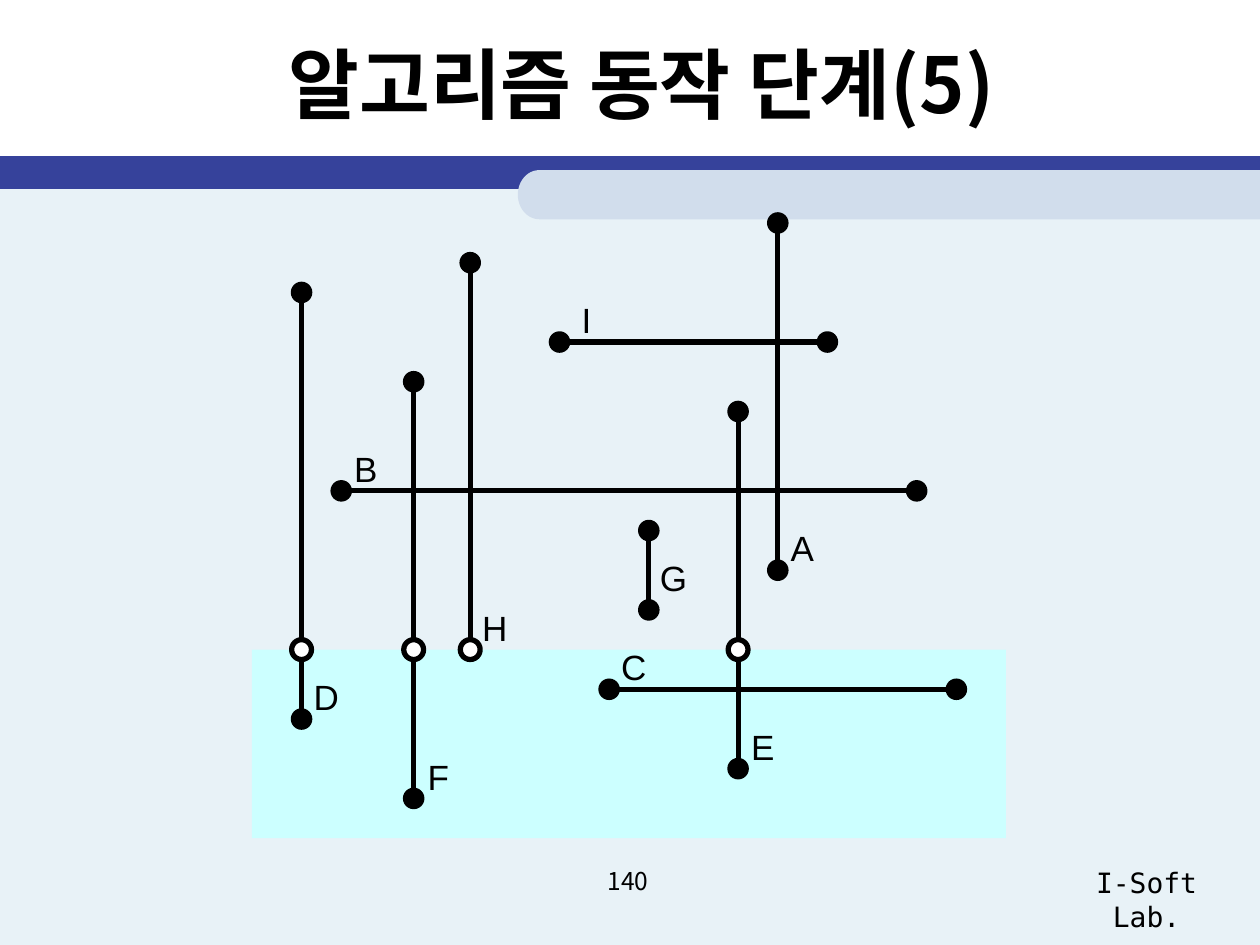
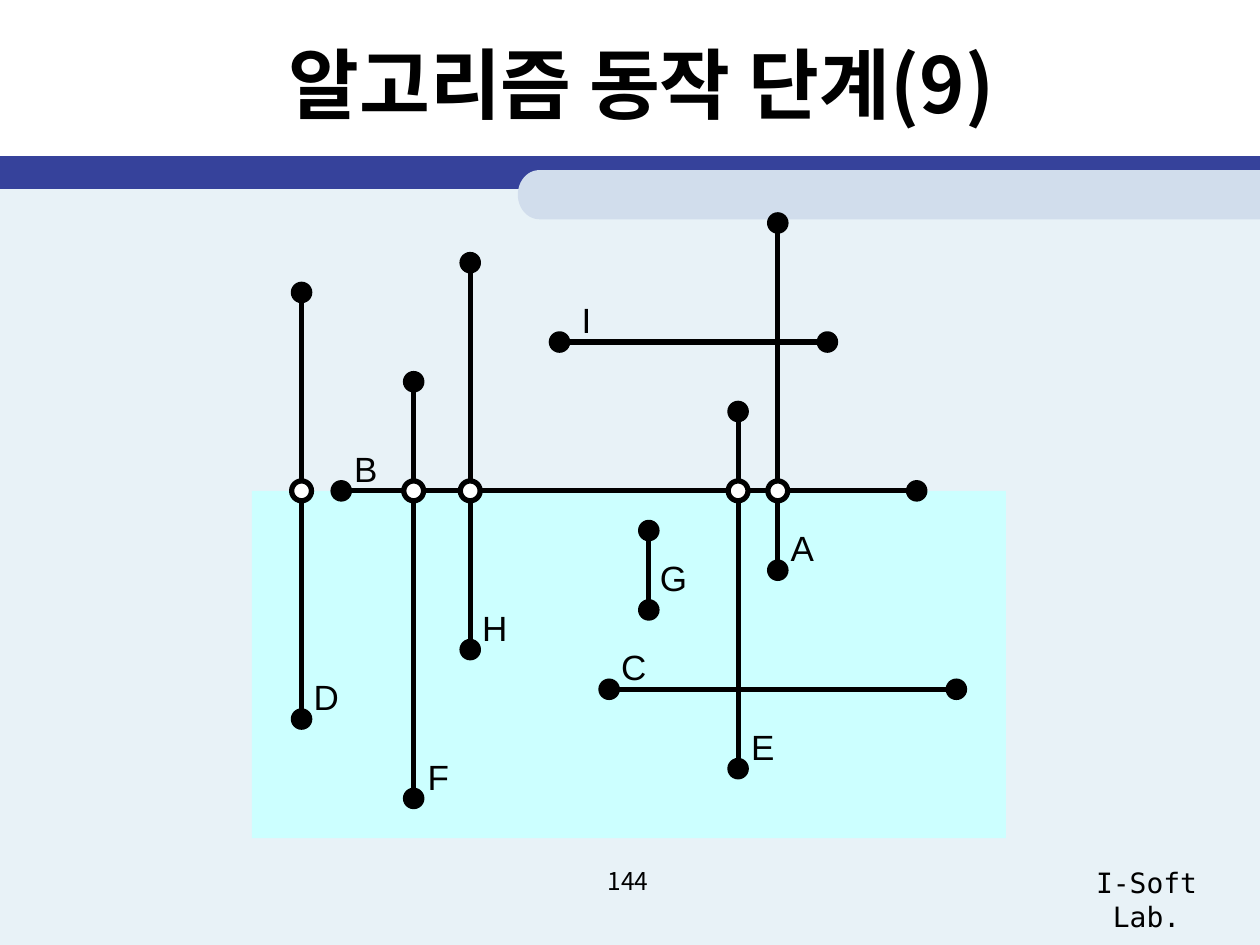
from collections import namedtuple
from math import cos, pi, sin

from lxml.etree import SubElement
from pptx import Presentation
from pptx.dml.color import RGBColor
from pptx.enum.shapes import MSO_CONNECTOR, MSO_SHAPE
from pptx.enum.text import MSO_ANCHOR, MSO_AUTO_SIZE, PP_ALIGN
from pptx.oxml.ns import qn
from pptx.util import Cm, Inches, Pt

WIDTH, HEIGHT = Inches(10), Inches(7.5)
COLUMN, ROW = WIDTH / 10, HEIGHT / 7.5

STEP = Cm(0.2)
PLOT_LEFT, PLOT_TOP = 2 * COLUMN, 1.77 * ROW
PLOT_COLUMNS, PLOT_ROWS = 76, 62
DOT = 2 * STEP

BLACK, WHITE = "000000", "FFFFFF"
PALE, NAVY, MIST, SWEPT = "E8F2F7", "36429B", "D1DDEC", "CCFFFF"

TITLE_FONT = {"size": Pt(44), "name": "Noto Sans CJK KR", "bold": True}
NUMBER_FONT = {"size": Pt(14), "name": "Noto Sans CJK KR"}
LAB_FONT = {"size": Pt(16), "name": "DejaVu Sans Mono"}
LABEL_FONT = {"size": Pt(20), "name": "Arial"}

Segment = namedtuple("Segment", "name start end label_shift", defaults=[(0, -5)])
SEGMENTS = [
    Segment("D", (5, 7), (5, 50)),
    Segment("A", (53, 0), (53, 35)),
    Segment("B", (9, 27), (67, 27)),
    Segment("C", (36, 47), (71, 47)),
    Segment("E", (49, 19), (49, 55)),
    Segment("G", (40, 31), (40, 39), (0, -6)),
    Segment("H", (22, 4), (22, 43)),
    Segment("I", (31, 12), (58, 12), (1, -5)),
    Segment("F", (16.3, 16), (16.3, 58)),
]
STAGES = [(5, 140, 43), (9, 144, 27)]


def rgb(color):
    return RGBColor.from_string(color)


def cells(left, top, width, height):
    return [round(n) for n in (left * COLUMN, top * ROW, width * COLUMN, height * ROW)]


def plot_point(column, row):
    return round(PLOT_LEFT + column * STEP), round(PLOT_TOP + row * STEP)


def paint(shape, fill, line=None, weight=1):
    shape.shadow.inherit = False
    shape.fill.solid()
    shape.fill.fore_color.rgb = rgb(fill)
    if line:
        shape.line.color.rgb = rgb(line)
        shape.line.width = Pt(weight)
    else:
        shape.line.fill.background()


def write(frame, text, font, **layout):
    settings = {"auto_size": MSO_AUTO_SIZE.NONE, "word_wrap": True,
                "vertical_anchor": MSO_ANCHOR.TOP, **layout}
    for key, value in settings.items():
        setattr(frame, key, value)
    paragraph = frame.paragraphs[0]
    paragraph.alignment = PP_ALIGN.CENTER
    run = paragraph.add_run()
    run.text = text
    for key, value in font.items():
        setattr(run.font, key, value)
    run.font.color.rgb = rgb(BLACK)
    SubElement(run.font._element, qn("a:ea")).set("typeface", font["name"])


def add_band(slide, color, *place):
    paint(slide.shapes.add_shape(MSO_SHAPE.RECTANGLE, *cells(*place)), color)


def add_rounded_tab(slide, left, top, right, bottom):
    radius_x, radius_y = 0.17, (bottom - top) / 2
    turns = [pi / 2 + pi * i / 24 for i in range(25)]
    arc = [((left + radius_x + radius_x * cos(turn)) * COLUMN,
            (top + radius_y - radius_y * sin(turn)) * ROW) for turn in turns]
    builder = slide.shapes.build_freeform(round(right * COLUMN), round(top * ROW))
    builder.add_line_segments(arc + [(right * COLUMN, bottom * ROW)], close=True)
    paint(builder.convert_to_shape(), MIST)


def add_footer(slide, text, font, *place):
    write(slide.shapes.add_textbox(*cells(*place)).text_frame, text, font)


def add_frame(slide, stage, number):
    add_band(slide, PALE, 0, 1.4, 10, 6.1)
    add_band(slide, NAVY, 0, 1.24, 10, 0.26)
    add_rounded_tab(slide, 4.11, 1.35, 10, 1.74)
    add_footer(slide, "I-Soft Lab.", LAB_FONT, 8.31, 6.82, 1.58, 0.37)
    add_footer(slide, str(number), NUMBER_FONT, 3.82, 6.82, 2.33, 0.52)
    title = slide.shapes.title
    title.left, title.top, title.width, title.height = cells(0.59, 0.08, 9, 1.15)
    write(title.text_frame, f"알고리즘 동작 단계({stage})", TITLE_FONT,
          vertical_anchor=MSO_ANCHOR.MIDDLE)


def add_swept_area(plot, sweep):
    area = plot.add_shape(MSO_SHAPE.RECTANGLE, *plot_point(0, sweep),
                          PLOT_COLUMNS * STEP, (PLOT_ROWS - sweep) * STEP)
    paint(area, SWEPT)


def add_dot(plot, point, fill=BLACK, weight=1):
    column, row = point
    dot = plot.add_shape(MSO_SHAPE.OVAL, *plot_point(column - 1, row - 1), DOT, DOT)
    paint(dot, fill, BLACK, weight)


def add_segment(plot, segment):
    line = plot.add_connector(MSO_CONNECTOR.STRAIGHT, *plot_point(*segment.start),
                              *plot_point(*segment.end))
    line.line.color.rgb = rgb(BLACK)
    line.line.width = Pt(3)
    SubElement(line._element.spPr, qn("a:effectLst"))


def add_label(plot, segment):
    column, row = segment.start if segment.start[1] == segment.end[1] else segment.end
    right, down = segment.label_shift
    width = 0.27 if segment.name == "I" else 0.39
    label = plot.add_textbox(*plot_point(column + right, row + down),
                             round(width * COLUMN), round(0.44 * ROW))
    write(label.text_frame, segment.name, LABEL_FONT, word_wrap=False)


def add_sweep_plot(slide, sweep):
    plot = slide.shapes.add_group_shape().shapes
    add_swept_area(plot, sweep)
    for segment in SEGMENTS:
        add_segment(plot, segment)
        add_label(plot, segment)
    crossings = [(s.start[0], sweep) for s in SEGMENTS if s.start[1] < sweep <= s.end[1]]
    for segment in SEGMENTS:
        for point in (segment.start, segment.end):
            if point not in crossings:
                add_dot(plot, point)
    for crossing in crossings:
        add_dot(plot, crossing, WHITE, 3)


def main():
    deck = Presentation()
    deck.slide_width, deck.slide_height = WIDTH, HEIGHT
    for stage, number, sweep in STAGES:
        slide = deck.slides.add_slide(deck.slide_layouts[5])
        add_frame(slide, stage, number)
        add_sweep_plot(slide, sweep)
    deck.save("out.pptx")


if __name__ == "__main__":
    main()
